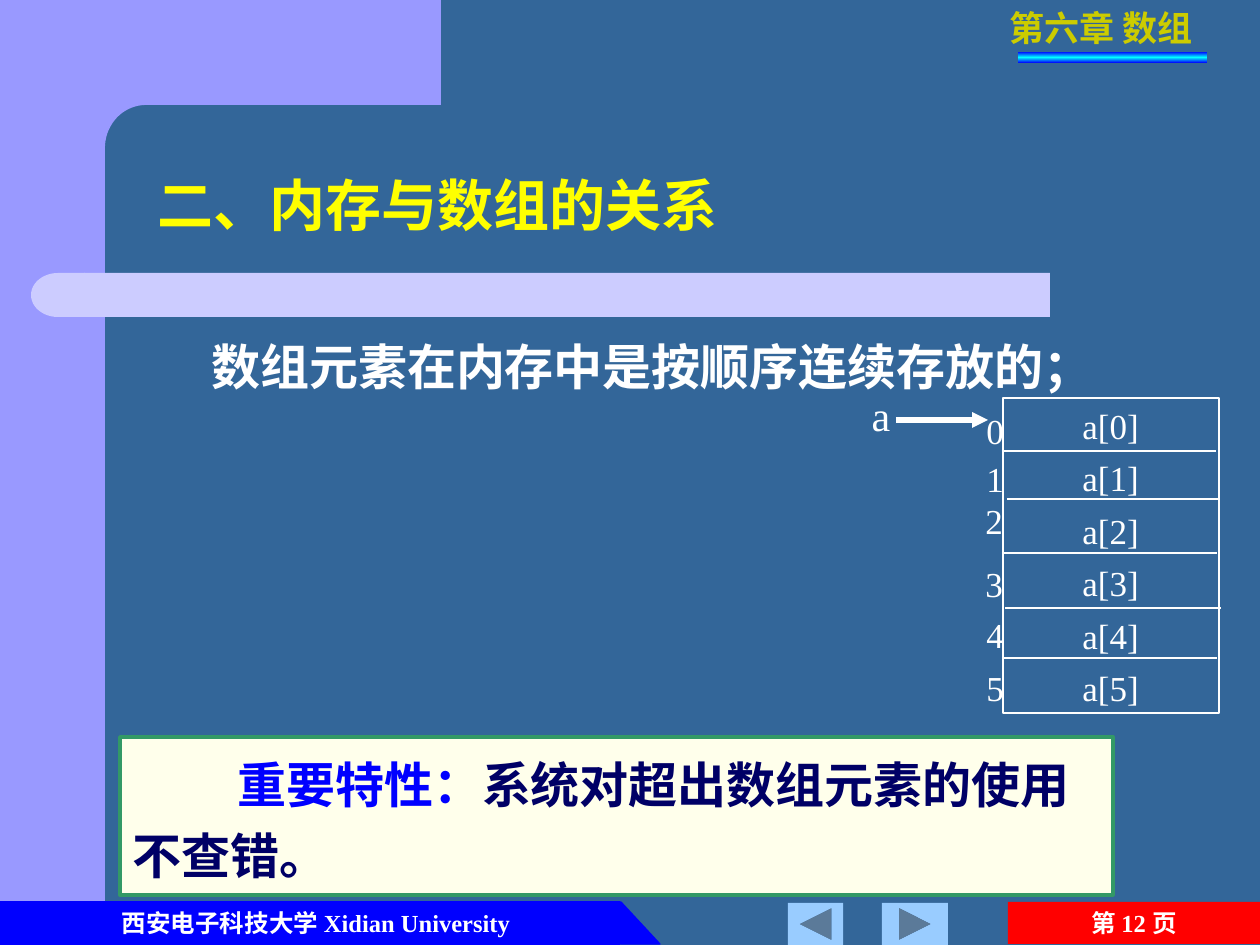
import math
from copy import deepcopy
from dataclasses import dataclass

from lxml import etree
from pptx import Presentation
from pptx import util as u
from pptx.dml.color import RGBColor
from pptx.enum import shapes, text
from pptx.oxml import ns

SCALE = 914400 / 126
SERIF = "Times New Roman"
SANS = "Noto Sans CJK SC"
WHITE = "FFFFFF"
BLUE = "0000FF"
LILAC = "9999FF"
PALE = "CCCCFF"
SKY = "99CCFF"
KIND = shapes.MSO_SHAPE
LEFT = text.PP_ALIGN.LEFT
CENTER = text.PP_ALIGN.CENTER
MIDDLE = text.MSO_ANCHOR.MIDDLE
TOP = text.MSO_ANCHOR.TOP


@dataclass
class Box:
    left: int
    top: int
    width: int
    height: int

    def emu(self):
        return [px(n) for n in (self.left, self.top, self.width, self.height)]


@dataclass
class Style:
    size: int
    color: str = WHITE
    bold: bool = False
    face: str = SERIF
    align: text.PP_ALIGN = LEFT
    anchor: text.MSO_ANCHOR = TOP
    wrap: bool = True
    indent: int = 0
    spacing: float = 1.0
    margin: int = 6


@dataclass
class Row:
    index_left: int
    index_top: int


@dataclass
class Divider:
    left: int
    right: int
    top: int


def px(length) -> int:
    return round(length * SCALE)


def rgb(value: str) -> RGBColor:
    return RGBColor.from_string(value)


def set_font(font, style: Style) -> None:
    font.size = u.Pt(style.size)
    font.bold = style.bold
    font.name = style.face
    font.color.rgb = rgb(style.color)
    east_asian = etree.SubElement(font._element, ns.qn("a:ea"))
    east_asian.set("typeface", SANS)


def write(shape, parts: list[tuple[str, Style]]) -> None:
    style = parts[0][1]
    frame = shape.text_frame
    frame.auto_size = text.MSO_AUTO_SIZE.NONE
    frame.word_wrap = style.wrap
    frame.vertical_anchor = style.anchor
    frame.margin_top = frame.margin_bottom = px(style.margin)
    paragraph = frame.paragraphs[0]
    paragraph.alignment = style.align
    paragraph.line_spacing = style.spacing
    paragraph.space_before = u.Pt(0)
    if style.indent:
        paragraph._p.get_or_add_pPr().set("indent", str(px(style.indent)))
    for words, part_style in parts:
        run = paragraph.add_run()
        run.text = words
        if len(parts) > 1:
            set_font(run.font, part_style)
    if len(parts) == 1:
        set_font(paragraph.font, style)


def add_text(slide, box: Box, words: str, style: Style) -> None:
    write(slide.shapes.add_textbox(*box.emu()), [(words, style)])


def paint(shape, fill: str = "", line: str = "", weight: float = 0.75) -> None:
    shape.shadow.inherit = False
    if fill:
        shape.fill.solid()
        shape.fill.fore_color.rgb = rgb(fill)
    else:
        shape.fill.background()
    if line:
        shape.line.color.rgb = rgb(line)
        shape.line.width = u.Pt(weight)
    else:
        shape.line.fill.background()


def add_shape(slide, kind, box: Box, fill: str = "", line: str = "", weight: float = 0.75):
    shape = slide.shapes.add_shape(kind, *box.emu())
    paint(shape, fill, line, weight)
    return shape


def add_line(slide, start: tuple[int, int], end: tuple[int, int], weight: float, arrow: bool = False) -> None:
    line = slide.shapes.add_connector(
        shapes.MSO_CONNECTOR.STRAIGHT, *[px(n) for n in (*start, *end)])
    line.line.color.rgb = rgb(WHITE)
    line.line.width = u.Pt(weight)
    if arrow:
        etree.SubElement(line.line._get_or_add_ln(), ns.qn("a:tailEnd")).set("type", "triangle")
    etree.SubElement(line._element.spPr, ns.qn("a:effectLst"))


def add_frame(slide) -> None:
    add_shape(slide, KIND.RECTANGLE, Box(0, 0, 105, 945), LILAC)
    arc = [(146 - 41 * math.sin(math.radians(a)), 148 - 43 * math.cos(math.radians(a)))
           for a in range(0, 91, 5)]
    points = [(441, 105), *arc, (105, 161), (63, 161), (63, 0)]
    builder = slide.shapes.build_freeform(px(441), 0)
    builder.add_line_segments([(px(x), px(y)) for x, y in points], close=True)
    paint(builder.convert_to_shape(), LILAC)
    add_shape(slide, KIND.RECTANGLE, Box(84, 273, 966, 44), PALE)
    cap = add_shape(slide, KIND.FLOWCHART_DELAY, Box(31, 273, 54, 44), PALE)
    cap._element.spPr.xfrm.set("flipH", "1")


def add_footer(slide) -> None:
    label = Style(14, bold=True, align=CENTER, anchor=MIDDLE, margin=0)
    number = Style(14, bold=True, face=SANS, align=CENTER, anchor=MIDDLE, margin=0)
    add_shape(slide, KIND.RECTANGLE, Box(0, 902, 620, 42), BLUE, BLUE)
    add_shape(slide, KIND.RIGHT_TRIANGLE, Box(621, 902, 39, 42), BLUE, BLUE)
    add_text(slide, Box(37, 902, 558, 42), "西安电子科技大学 Xidian University", label)
    page = add_shape(slide, KIND.RECTANGLE, Box(1008, 902, 252, 42), "FF0000")
    write(page, [("第 ", number), ("12 ", label), ("页", number)])
    add_shape(slide, KIND.ACTION_BUTTON_FORWARD_OR_NEXT, Box(882, 903, 66, 42), SKY)
    back = add_shape(slide, KIND.ACTION_BUTTON_FORWARD_OR_NEXT, Box(788, 903, 55, 42), SKY)
    back.rotation = 180


def add_chapter(slide) -> None:
    add_text(slide, Box(997, 0, 219, 54), "第六章 数组",
             Style(20, "CCCC00", True, SANS, wrap=False))
    bar = add_shape(slide, KIND.RECTANGLE, Box(1018, 52, 189, 11))
    bar.fill.gradient()
    bar.fill.gradient_angle = 90
    stops = bar._element.spPr.find(".//" + ns.qn("a:gsLst"))
    stops.insert(1, deepcopy(stops[0]))
    for stop, color, position in zip(bar.fill.gradient_stops, (BLUE, "00FFFF", BLUE), (0, 0.5, 1)):
        stop.color.rgb = rgb(color)
        stop.position = position


def add_memory(slide) -> None:
    cell = Style(20, wrap=False)
    rows = [Row(974, 403), Row(974, 451), Row(973, 493),
            Row(973, 556), Row(974, 607), Row(974, 660)]
    dividers = [Divider(1002, 1216, 451), Divider(1007, 1220, 499), Divider(1002, 1217, 553),
                Divider(1005, 1221, 608), Divider(1002, 1217, 658)]
    add_shape(slide, KIND.RECTANGLE, Box(1003, 398, 216, 315), line=WHITE)
    for divider in dividers:
        add_line(slide, (divider.left, divider.top), (divider.right, divider.top), 0.75)
    for i, row in enumerate(rows):
        add_text(slide, Box(1070, round(398 + i * 52.4), 82, 54), f"a[{i}]", cell)
        add_text(slide, Box(row.index_left, row.index_top, 43, 54), str(i), cell)
    add_line(slide, (896, 420), (988, 420), 3, arrow=True)
    add_text(slide, Box(859, 383, 44, 63), "a", Style(24, align=CENTER, anchor=MIDDLE, wrap=False))


def main() -> None:
    presentation = Presentation()
    presentation.slide_width, presentation.slide_height = px(1260), px(945)
    slide = presentation.slides.add_slide(presentation.slide_layouts[5])
    slide.background.fill.solid()
    slide.background.fill.fore_color.rgb = rgb("336699")
    add_frame(slide)
    add_footer(slide)
    title = slide.shapes.title
    title.left, title.top, title.width, title.height = Box(145, 165, 953, 79).emu()
    write(title, [("二、内存与数组的关系", Style(32, "FFFF00", True))])
    body = Style(28, bold=True, indent=105, spacing=1.2)
    add_text(slide, Box(94, 319, 1062, 84), "数组元素在内存中是按顺序连续存放的；", body)
    note = add_shape(slide, KIND.RECTANGLE, Box(120, 737, 993, 158), "FFFFEB", "339966", 2)
    write(note, [("重要特性：", Style(28, BLUE, True, indent=105, spacing=1.2)),
                 ("系统对超出数组元素的使用不查错。", Style(28, "000066", True))])
    add_chapter(slide)
    add_memory(slide)
    presentation.save("out.pptx")


if __name__ == "__main__":
    main()
